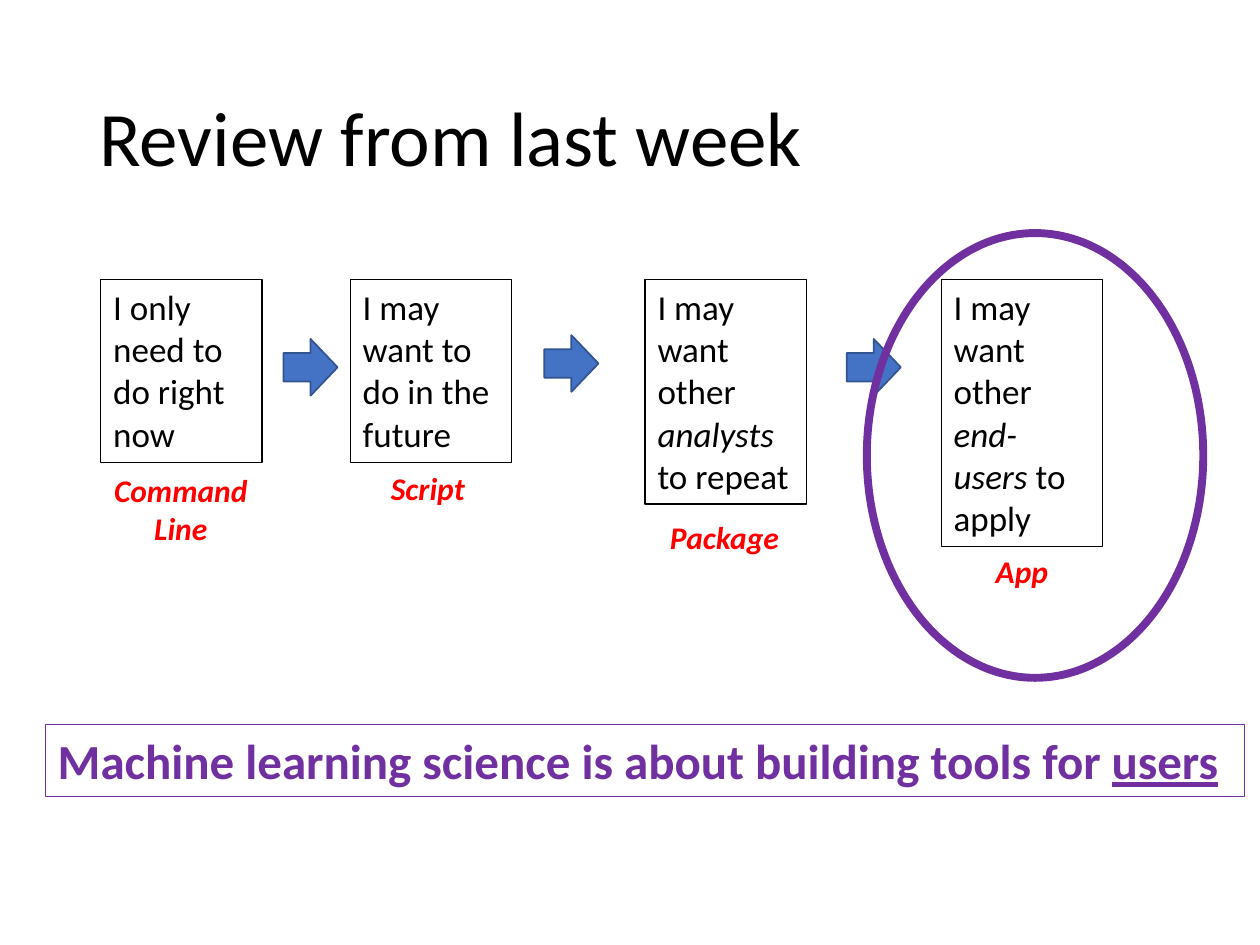
from dataclasses import dataclass

from pptx import Presentation
from pptx.dml.color import RGBColor
from pptx.enum.shapes import MSO_SHAPE as Shape
from pptx.enum.text import MSO_ANCHOR as Anchor, MSO_AUTO_SIZE as AutoSize, PP_ALIGN as Align
from pptx.util import Inches, Pt


@dataclass(frozen=True)
class Theme:
    """Colours, font and type sizes of the slide."""
    font: str = "Calibri"
    black: str = "000000"
    red: str = "FF0000"
    purple: str = "7030A0"
    blue: str = "4472C4"
    dark_blue: str = "325491"
    title: int = 44
    banner: int = 28
    body: int = 20
    label: int = 18


THEME = Theme()

# Spans are (text, style); style letters: b bold, i italic, u underline.
TITLE = [[("Review from last week", "")]]
# left, height, need, (label left, top, width, height), label lines
STAGES = [
    (0.8, 1.45, [("I only need to do right now", "")],
     (0.8, 3.69, 1.27, 0.71), ["Command", "Line"]),
    (2.78, 1.45, [("I may want to do in the future", "")],
     (3, 3.67, 0.79, 0.4), ["Script"]),
    (5.12, 1.78, [("I may want other ", ""), ("analysts", "i"), (" to repeat ", "")],
     (5.21, 4.06, 1.08, 0.4), ["Package"]),
    (7.47, 2.12, [("I may want other ", ""), ("end-users", "i"), (" to apply", "")],
     (7.8, 4.33, 0.62, 0.4), ["App"]),
]
STAGE_TOP, STAGE_WIDTH = 2.22, 1.28
ARROWS = [(2.25, 2.69), (4.32, 2.66), (6.72, 2.69)]
ARROW_SIZE = (0.43, 0.45)
HIGHLIGHT = (6.88, 1.85, 2.67, 3.53)
BANNER = [[("Machine learning science is about building tools for ", "b"), ("users", "bu")]]


def rgb(value):
    """Turn a hex string into a colour."""
    return RGBColor.from_string(value)


def add_outline(page, kind, place, line, width, fill=None):
    """Add a preset shape with a line and an optional fill."""
    shape = page.shapes.add_shape(kind, *map(Inches, place))
    shape.shadow.inherit = False
    if fill:
        shape.fill.solid()
        shape.fill.fore_color.rgb = rgb(fill)
    else:
        shape.fill.background()
    shape.line.color.rgb = rgb(line)
    shape.line.width = Pt(width)
    return shape


def add_text_box(page, place):
    """Add an empty text box."""
    return page.shapes.add_textbox(*map(Inches, place))


def write(box, lines, size, color, align=Align.LEFT, anchor=Anchor.TOP, wrap=True, grow=True):
    """Fill a box with lines of styled spans."""
    frame = box.text_frame
    frame.word_wrap = wrap
    frame.auto_size = AutoSize.SHAPE_TO_FIT_TEXT if grow else AutoSize.NONE
    frame.vertical_anchor = anchor
    for index, line in enumerate(lines):
        para = frame.add_paragraph() if index else frame.paragraphs[0]
        para.alignment = align
        for text, style in line:
            span = para.add_run()
            span.text = text
            font = span.font
            font.name, font.size = THEME.font, Pt(size)
            font.color.rgb = rgb(color)
            font.bold, font.italic, font.underline = (mark in style for mark in "biu")
    return frame


def build():
    """Build and save the slide."""
    deck = Presentation()
    deck.slide_width, deck.slide_height = Inches(10), Inches(7.5)
    page = deck.slides.add_slide(deck.slide_layouts[6])

    title = add_text_box(page, (0.69, 0.4, 8.62, 1.45))
    frame = write(title, TITLE, THEME.title, THEME.black, anchor=Anchor.MIDDLE, grow=False)
    frame.paragraphs[0].line_spacing = 0.9

    for left, height, need, label_place, label in STAGES:
        place = (left, STAGE_TOP, STAGE_WIDTH, height)
        box = add_outline(page, Shape.RECTANGLE, place, THEME.black, 0.75)
        write(box, [need], THEME.body, THEME.black)
        write(add_text_box(page, label_place), [[(line, "bi")] for line in label],
              THEME.label, THEME.red, align=Align.CENTER, wrap=False)

    for corner in ARROWS:
        add_outline(page, Shape.RIGHT_ARROW, corner + ARROW_SIZE, THEME.dark_blue, 1, THEME.blue)

    add_outline(page, Shape.OVAL, HIGHLIGHT, THEME.purple, 4.5)
    banner = add_outline(page, Shape.RECTANGLE, (0.36, 5.75, 9.52, 0.57), THEME.purple, 0.75)
    write(banner, BANNER, THEME.banner, THEME.purple, wrap=False)
    deck.save("out.pptx")


build()
